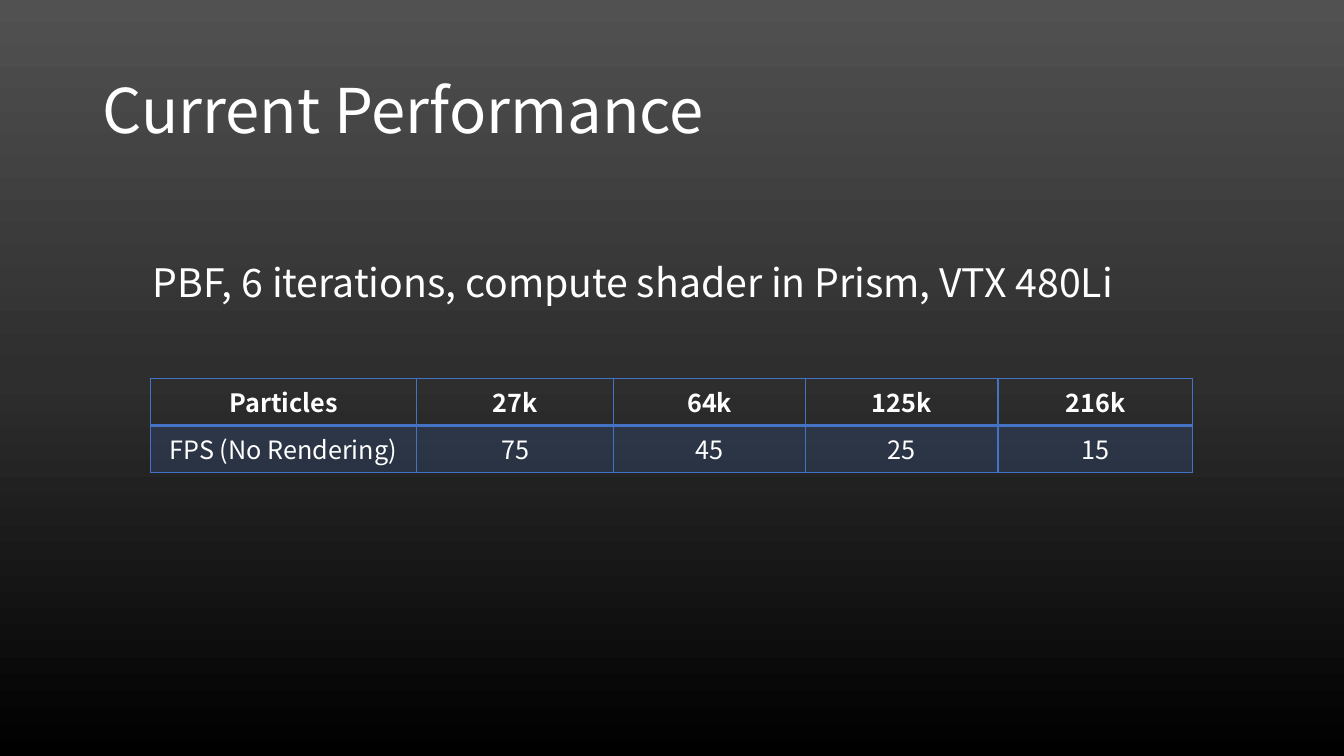
from lxml.etree import SubElement
from copy import deepcopy
from pptx import Presentation
from pptx.dml.color import RGBColor
from pptx.enum.text import MSO_ANCHOR, MSO_AUTO_SIZE, PP_ALIGN
from pptx.oxml.ns import qn
from pptx.util import Cm, Pt

FONT = "Noto Sans CJK SC"
WHITE = RGBColor(0xFF, 0xFF, 0xFF)
BLUE = RGBColor(0x44, 0x72, 0xC4)
GREY_TOP = RGBColor(0x51, 0x51, 0x51)
GREY_MIDDLE = RGBColor(0x2E, 0x2E, 0x2E)
BLACK = RGBColor(0, 0, 0)

COLUMN_WIDTHS = [6.71, 4.97, 4.83, 4.85, 4.91]
ROW_HEIGHT = 1.18
RESULTS = [
    ["Particles", "27k", "64k", "125k", "216k"],
    ["FPS (No Rendering)", "75", "45", "25", "15"],
]


def paint_background(page):
    fill = page.background.fill
    fill.gradient()
    fill.gradient_angle = 270
    stop_list = page.element.xpath(".//a:gsLst")[0]
    stop_list.insert(1, deepcopy(stop_list[0]))
    colours = [GREY_TOP, GREY_MIDDLE, BLACK]
    for index, (stop, colour) in enumerate(zip(fill.gradient_stops, colours)):
        stop.position = index / 2
        stop.color.rgb = colour


def format_paragraph(paragraph, size, align, bold=False):
    paragraph.alignment = align
    for span in paragraph.runs:
        span.font.name = FONT
        span.font.size = Pt(size)
        span.font.bold = bold
        span.font.color.rgb = WHITE


def fill_placeholder(box, text, size, anchor, left, top, width, height):
    box.left, box.top, box.width, box.height = Cm(left), Cm(top), Cm(width), Cm(height)
    frame = box.text_frame
    frame.text = text
    frame.word_wrap = True
    frame.auto_size = MSO_AUTO_SIZE.NONE
    frame.vertical_anchor = anchor
    paragraph = frame.paragraphs[0]
    paragraph.line_spacing = 0.9
    paragraph.space_before = Pt(0)
    format_paragraph(paragraph, size, PP_ALIGN.LEFT)
    return paragraph


def indent_without_bullet(paragraph, left):
    properties = paragraph._p.get_or_add_pPr()
    properties.set("marL", str(Cm(left)))
    properties.set("indent", "0")
    SubElement(properties, qn("a:buNone"))


def add_border(cell, side, points):
    line = SubElement(cell._tc.get_or_add_tcPr(), qn(f"a:ln{side}"), w=str(Pt(points)))
    solid = SubElement(line, qn("a:solidFill"))
    SubElement(solid, qn("a:srgbClr"), val=str(BLUE))


def tint_cell(cell, percent):
    cell.fill.solid()
    cell.fill.fore_color.rgb = BLUE
    colour = cell._tc.tcPr.find(qn("a:solidFill"))[0]
    SubElement(colour, qn("a:alpha"), val=str(percent * 1000))


def format_cell(cell, text, is_header):
    cell.text = text
    cell.vertical_anchor = MSO_ANCHOR.TOP
    format_paragraph(cell.text_frame.paragraphs[0], 18, PP_ALIGN.CENTER, is_header)
    divider = "B" if is_header else "T"
    for side in "LRTB":
        add_border(cell, side, 2 if side == divider else 1)
    if is_header:
        cell.fill.background()
    else:
        tint_cell(cell, 20)


def add_results_table(page, left, top):
    table = page.shapes.add_table(
        len(RESULTS), len(COLUMN_WIDTHS), Cm(left), Cm(top),
        Cm(sum(COLUMN_WIDTHS)), Cm(ROW_HEIGHT * len(RESULTS)),
    ).table
    table.horz_banding = False
    for column, width in zip(table.columns, COLUMN_WIDTHS):
        column.width = Cm(width)
    for row_index, values in enumerate(RESULTS):
        table.rows[row_index].height = Cm(ROW_HEIGHT)
        for column_index, text in enumerate(values):
            format_cell(table.cell(row_index, column_index), text, row_index == 0)


def main():
    deck = Presentation()
    deck.slide_width, deck.slide_height = Cm(33.87), Cm(19.05)
    page = deck.slides.add_slide(deck.slide_layouts[1])
    title, body = page.placeholders
    paint_background(page)
    fill_placeholder(title, "Current Performance", 44, MSO_ANCHOR.MIDDLE,
                     2.33, 1.01, 29.21, 3.68)
    setup = fill_placeholder(body, "PBF, 6 iterations, compute shader in Prism, VTX 480Li",
                             28, MSO_ANCHOR.TOP, 2.33, 6.52, 29.21, 10.65)
    indent_without_bullet(setup, 1.27)
    add_results_table(page, 3.79, 9.54)
    deck.save("out.pptx")


if __name__ == "__main__":
    main()
